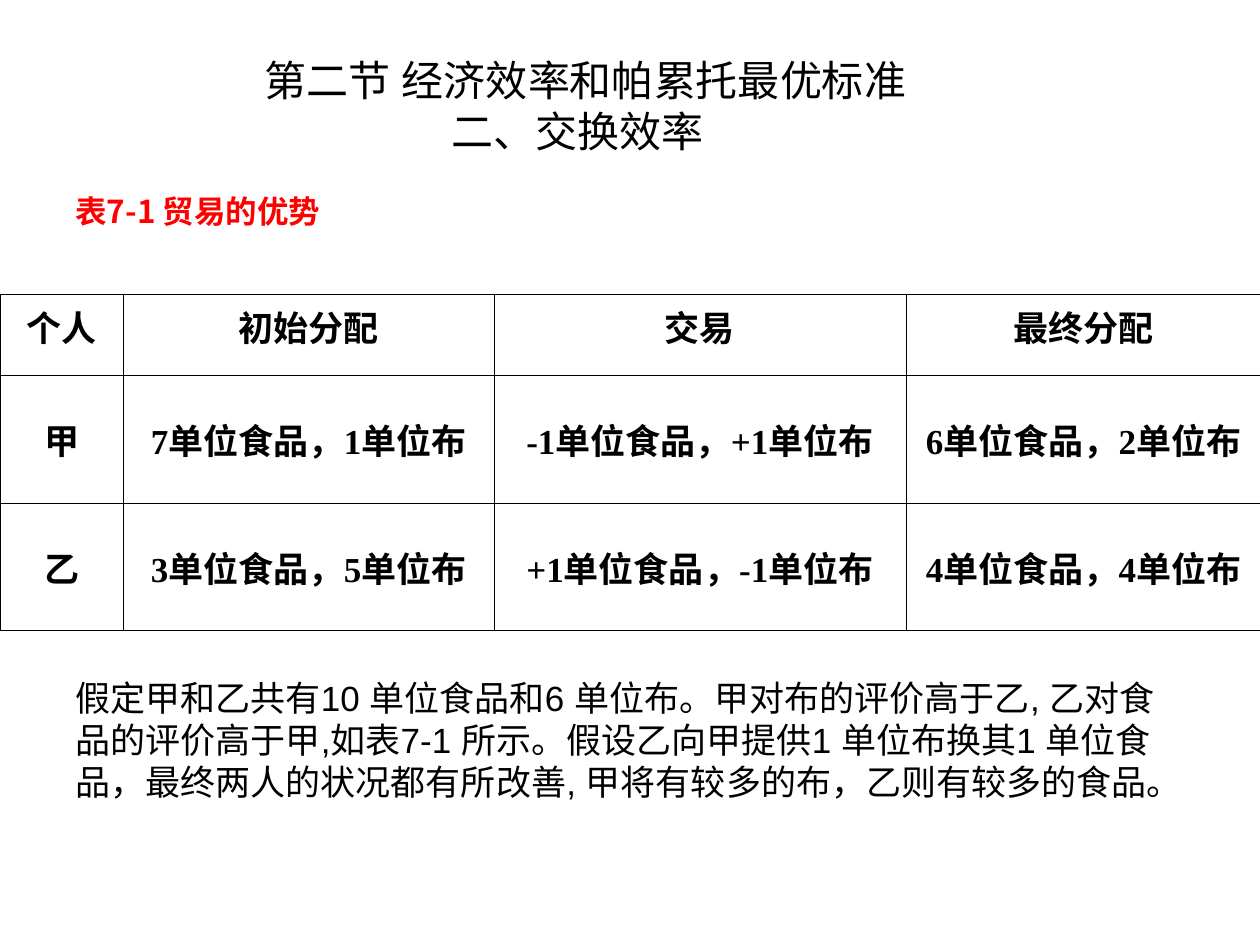
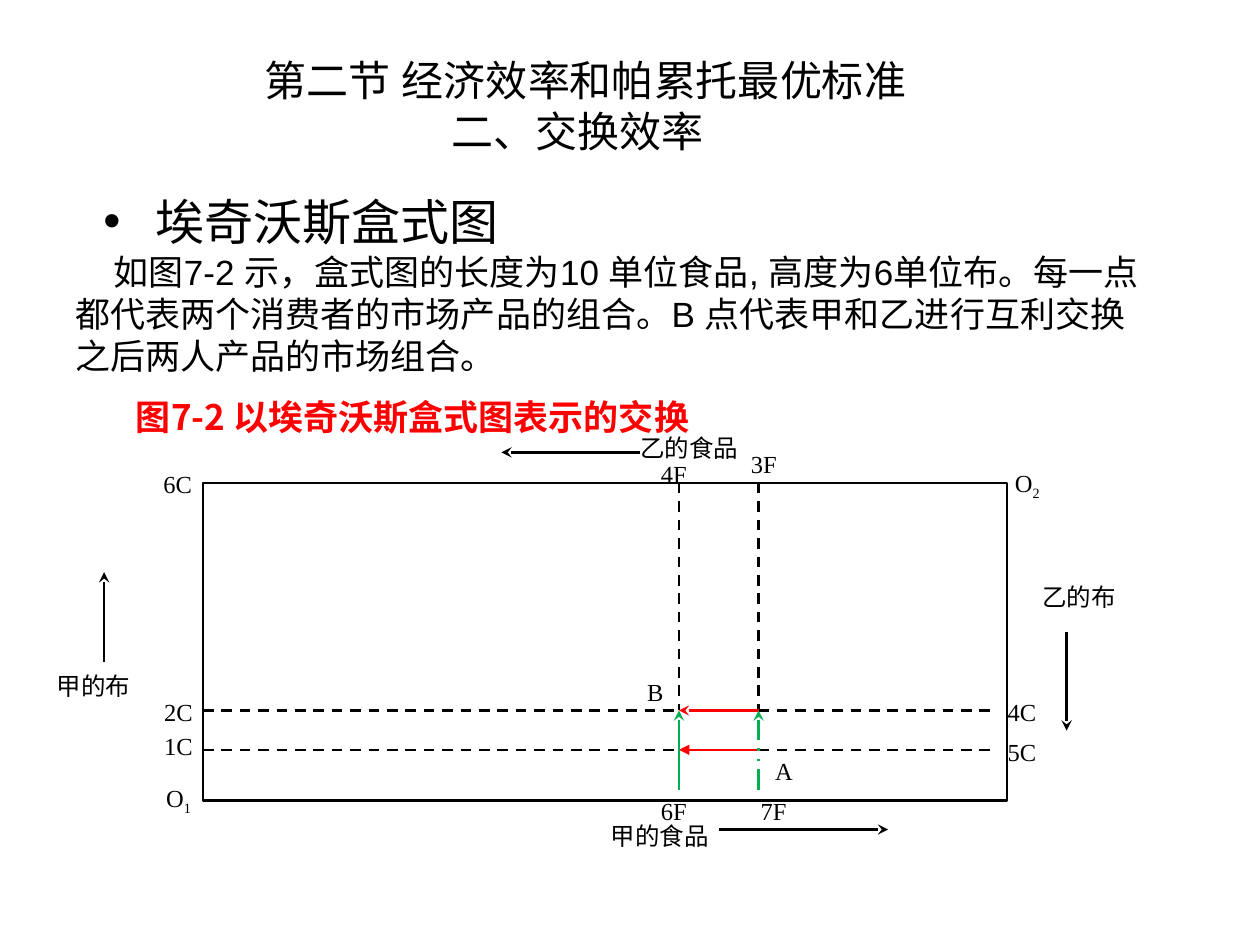
from typing import NamedTuple

from lxml.etree import SubElement
from pptx import Presentation
from pptx.dml.color import RGBColor
from pptx.enum.dml import MSO_LINE
from pptx.enum.shapes import MSO_CONNECTOR, MSO_SHAPE
from pptx.enum.text import MSO_ANCHOR, PP_ALIGN
from pptx.oxml.ns import qn
from pptx.util import Pt

# Shared look
BLACK, RED, GREEN, WHITE = "000000", "FF0000", "00B050", "FFFFFF"
SANS, HAN, SERIF = "Arial", "Noto Sans CJK SC", "Times New Roman"
LABEL_W, LABEL_H, LABEL_SIZE = 74, 24, 14
TITLE_LINES = (("第二节 经济效率和帕累托最优标准", 108), ("二、交换效率", 215))

# Trade table
COLUMN_WIDTHS = (70.6, 211.7, 235.4, 203)
ROW_HEIGHTS = (46.4, 73, 73)
TRADE_ROWS = (
    ("个人", "初始分配", "交易", "最终分配"),
    ("甲", "7单位食品，1单位布", "-1单位食品，+1单位布", "6单位食品，2单位布"),
    ("乙", "3单位食品，5单位布", "+1单位食品，-1单位布", "4单位食品，4单位布"),
)
TRADE_TEXT = (
    "假定甲和乙共有10 单位食品和6 单位布。甲对布的评价高于乙, 乙对食品的评价高于甲,"
    "如表7-1 所示。假设乙向甲提供1 单位布换其1 单位食品，最终两人的状况都有所改善, "
    "甲将有较多的布，乙则有较多的食品。"
)
BOX_TEXT = (
    "如图7-2 示，盒式图的长度为10 单位食品, 高度为6单位布。每一点都代表两个消费者的"
    "市场产品的组合。B 点代表甲和乙进行互利交换之后两人产品的市场组合。"
)

# Edgeworth box: food runs along x, cloth along y
BOX_LEFT, BOX_TOP, BOX_W, BOX_H = 116, 276, 459.4, 181.4
FOOD_B, FOOD_A, DASH_END = 388, 433.5, 569.5
CLOTH_2, CLOTH_1, GREEN_START = 406, 428.5, 451.5


class Stroke(NamedTuple):
    x1: float
    y1: float
    x2: float
    y2: float
    color: str = BLACK
    dash: MSO_LINE | None = None
    arrow: str = ""


class Label(NamedTuple):
    text: str
    x: float  # centre
    y: float
    font: str = SERIF
    subscript: str = ""


STROKES = (
    Stroke(BOX_LEFT, CLOTH_1, FOOD_B, CLOTH_1, dash=MSO_LINE.DASH),
    Stroke(BOX_LEFT, CLOTH_2, FOOD_B, CLOTH_2, dash=MSO_LINE.DASH),
    Stroke(FOOD_B, BOX_TOP, FOOD_B, CLOTH_2, dash=MSO_LINE.DASH),
    Stroke(FOOD_A, BOX_TOP, FOOD_A, CLOTH_2, dash=MSO_LINE.DASH),
    Stroke(FOOD_A, CLOTH_2, FOOD_B, CLOTH_2, RED, arrow="stealth"),
    Stroke(FOOD_A, CLOTH_2, DASH_END, CLOTH_2, dash=MSO_LINE.DASH),
    Stroke(FOOD_A, CLOTH_1, FOOD_B, CLOTH_1, RED, arrow="triangle"),
    Stroke(FOOD_A, CLOTH_1, DASH_END, CLOTH_1, dash=MSO_LINE.DASH),
    Stroke(FOOD_B, GREEN_START, FOOD_B, CLOTH_2, GREEN, arrow="stealth"),
    Stroke(FOOD_A, GREEN_START, FOOD_A, CLOTH_2, GREEN,
           MSO_LINE.DASH_DOT_DOT, "stealth"),
    # Axis directions
    Stroke(411, 474, 507.5, 474, arrow="stealth"),
    Stroke(366, 258.5, 286.5, 258.5, arrow="stealth"),
    Stroke(59.5, 378, 59.5, 327, arrow="stealth"),
    Stroke(609.5, 361, 609.5, 417.5, arrow="stealth"),
)
LABELS = (
    Label("甲的布", 53.5, 392, SANS),
    Label("乙的布", 616.5, 341, SANS),
    Label("甲的食品", 377, 477.5, SANS),
    Label("乙的食品", 394, 256, SANS),
    Label("O", 102, 457, subscript="1"),
    Label("O", 587, 277, subscript="2"),
    Label("1C", 102, 426),
    Label("2C", 102, 406.5),
    Label("4C", 584, 406.5),
    Label("5C", 584, 429.5),
    Label("6C", 101.5, 276.5),
    Label("4F", 385, 270.5),
    Label("3F", 436.5, 265),
    Label("6F", 385, 463.5),
    Label("7F", 442, 463.5),
    Label("A", 448, 440.5),
    Label("B", 374.5, 395),
)


def rgb(color: str) -> RGBColor:
    return RGBColor.from_string(color)


def style_run(run, size: float, font: str = SANS, color: str = BLACK,
              bold: bool = False) -> None:
    run.font.size = Pt(size)
    run.font.bold = bold
    run.font.color.rgb = rgb(color)
    run.font.name = font
    east_asian = SubElement(run._r.get_or_add_rPr(), qn("a:ea"))
    east_asian.set("typeface", HAN if bold else SANS)


def set_indent(paragraph, left: float, first: float = 0, bullet: str = "") -> None:
    properties = paragraph._p.get_or_add_pPr()
    properties.set("marL", str(Pt(left)))
    properties.set("indent", str(Pt(first)))
    if bullet:
        SubElement(properties, qn("a:buFont")).set("typeface", SANS)
        SubElement(properties, qn("a:buChar")).set("char", bullet)


def add_text(slide, text: str, x: float, y: float, w: float, h: float,
             middle: bool = False):
    frame = slide.shapes.add_textbox(Pt(x), Pt(y), Pt(w), Pt(h)).text_frame
    frame.word_wrap = True
    frame.vertical_anchor = MSO_ANCHOR.MIDDLE if middle else MSO_ANCHOR.TOP
    frame.text = text
    return frame


def style_paragraph(paragraph, size: float, font: str = SANS) -> None:
    paragraph.line_spacing = Pt(size * 1.2)
    style_run(paragraph.runs[0], size, font)


def add_title(slide) -> None:
    frame = add_text(slide, "\n".join(text for text, _ in TITLE_LINES),
                     36, 26, 648, 68, middle=True)
    for paragraph, (_, left) in zip(frame.paragraphs, TITLE_LINES):
        set_indent(paragraph, left)
        style_paragraph(paragraph, 24, HAN)


def add_caption(slide, text: str, x: float, y: float, size: float) -> None:
    frame = add_text(slide, text, x, y, 600, 32, middle=True)
    style_run(frame.paragraphs[0].runs[0], size, HAN, RED, bold=True)


def border_cell(cell) -> None:
    properties = cell._tc.get_or_add_tcPr()
    for position, side in enumerate(("lnL", "lnR", "lnT", "lnB")):
        edge = SubElement(properties, qn(f"a:{side}"), w=str(Pt(0.45)))
        fill = SubElement(edge, qn("a:solidFill"))
        SubElement(fill, qn("a:srgbClr")).set("val", BLACK)
        properties.insert(position, edge)


def add_trade_table(slide) -> None:
    table = slide.shapes.add_table(
        len(TRADE_ROWS), len(COLUMN_WIDTHS), 0, Pt(168),
        Pt(sum(COLUMN_WIDTHS)), Pt(sum(ROW_HEIGHTS))).table
    for column, width in zip(table.columns, COLUMN_WIDTHS):
        column.width = Pt(width)
    for r, (height, texts) in enumerate(zip(ROW_HEIGHTS, TRADE_ROWS)):
        table.rows[r].height = Pt(height)
        for c, text in enumerate(texts):
            cell = table.cell(r, c)
            cell.fill.solid()
            cell.fill.fore_color.rgb = rgb(WHITE)
            cell.vertical_anchor = MSO_ANCHOR.MIDDLE if r else MSO_ANCHOR.TOP
            cell.text_frame.text = text
            paragraph = cell.text_frame.paragraphs[0]
            paragraph.alignment = PP_ALIGN.CENTER
            style_run(paragraph.runs[0], 20, SERIF, bold=True)
            border_cell(cell)


def add_stroke(slide, stroke: Stroke) -> None:
    connector = slide.shapes.add_connector(
        MSO_CONNECTOR.STRAIGHT, Pt(stroke.x1), Pt(stroke.y1),
        Pt(stroke.x2), Pt(stroke.y2))
    connector.line.color.rgb = rgb(stroke.color)
    connector.line.width = Pt(1.5)
    if stroke.dash:
        connector.line.dash_style = stroke.dash
    if stroke.arrow:
        outline = connector.line._get_or_add_ln()
        SubElement(outline, qn("a:tailEnd")).set("type", stroke.arrow)
    SubElement(connector._element.spPr, qn("a:effectLst"))


def add_label(slide, label: Label) -> None:
    frame = add_text(slide, label.text, label.x - LABEL_W / 2,
                     label.y - LABEL_H / 2, LABEL_W, LABEL_H, middle=True)
    paragraph = frame.paragraphs[0]
    paragraph.alignment = PP_ALIGN.CENTER
    style_run(paragraph.runs[0], LABEL_SIZE, label.font)
    if label.subscript:
        run = paragraph.add_run()
        run.text = label.subscript
        style_run(run, LABEL_SIZE, label.font)
        run._r.get_or_add_rPr().set("baseline", "-25000")


def add_box_outline(slide) -> None:
    outline = slide.shapes.add_shape(
        MSO_SHAPE.RECTANGLE, Pt(BOX_LEFT), Pt(BOX_TOP), Pt(BOX_W), Pt(BOX_H))
    outline.shadow.inherit = False
    outline.fill.background()
    outline.line.color.rgb = rgb(BLACK)
    outline.line.width = Pt(1.5)


def build_trade_slide(slide) -> None:
    add_trade_table(slide)
    add_caption(slide, "表7-1 贸易的优势", 36, 104.5, 18)
    explanation = add_text(slide, TRADE_TEXT, 36, 383, 648, 127)
    style_paragraph(explanation.paragraphs[0], 20)
    add_title(slide)


def build_box_slide(slide) -> None:
    add_caption(slide, "图7-2 以埃奇沃斯盒式图表示的交换", 70.6, 222, 20)
    for stroke in STROKES:
        add_stroke(slide, stroke)
    for label in LABELS:
        add_label(slide, label)
    add_box_outline(slide)
    # Heading and explanation
    frame = add_text(slide, "埃奇沃斯盒式图\n" + BOX_TEXT, 36, 106, 623.5, 137)
    heading, explanation = frame.paragraphs
    set_indent(heading, 46, -30, "•")
    style_paragraph(heading, 28)
    set_indent(explanation, 0, 22)
    style_paragraph(explanation, 20)
    add_title(slide)


def main() -> None:
    deck = Presentation()
    deck.slide_width, deck.slide_height = Pt(720), Pt(540)
    for build in (build_trade_slide, build_box_slide):
        build(deck.slides.add_slide(deck.slide_layouts[6]))
    deck.save("out.pptx")


if __name__ == "__main__":
    main()
